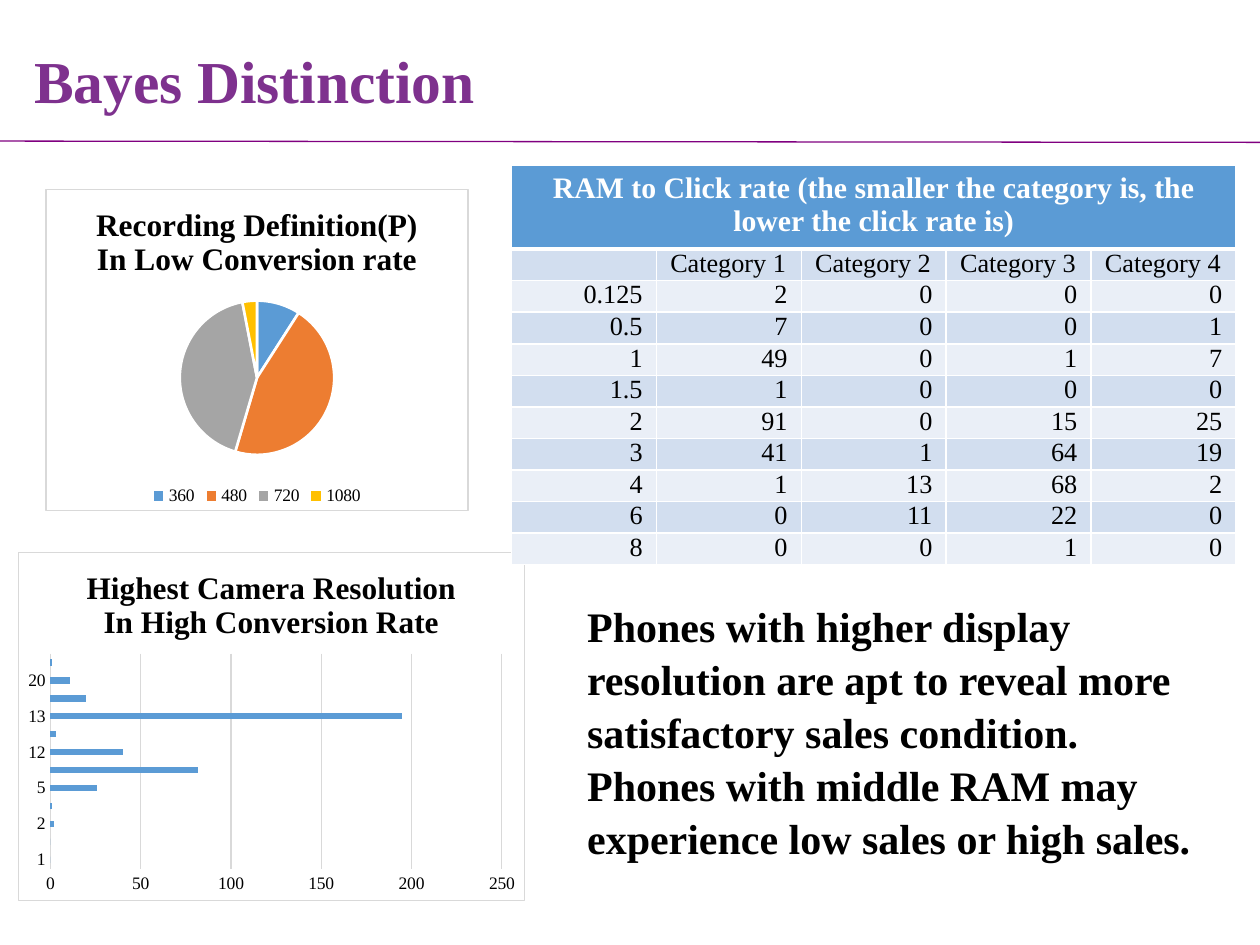
from dataclasses import dataclass

from lxml.etree import SubElement
from pptx import Presentation
from pptx.chart.chart import Chart
from pptx.chart.data import CategoryChartData
from pptx.dml.color import RGBColor
from pptx.enum.chart import XL_CHART_TYPE, XL_LEGEND_POSITION, XL_TICK_MARK
from pptx.enum.shapes import MSO_CONNECTOR
from pptx.enum.text import MSO_ANCHOR, MSO_AUTO_SIZE, PP_ALIGN
from pptx.oxml import parse_xml
from pptx.oxml.ns import nsdecls, qn
from pptx.slide import Slide
from pptx.table import _Cell
from pptx.text.text import _Paragraph
from pptx.util import Inches, Pt

FONT = "Times New Roman"
BLACK = RGBColor(0x00, 0x00, 0x00)
WHITE = RGBColor(0xFF, 0xFF, 0xFF)
PURPLE = RGBColor(0x7E, 0x31, 0x8E)
RULE_PURPLE = RGBColor(0x80, 0x00, 0x80)
BLUE = RGBColor(0x5B, 0x9B, 0xD5)
ORANGE = RGBColor(0xED, 0x7D, 0x31)
GRAY = RGBColor(0xA5, 0xA5, 0xA5)
YELLOW = RGBColor(0xFF, 0xC0, 0x00)
LIGHT_GRAY = RGBColor(0xD9, 0xD9, 0xD9)
BAND_DARK = RGBColor(0xD2, 0xDE, 0xEF)
BAND_LIGHT = RGBColor(0xEA, 0xEF, 0xF7)

TABLE_TITLE = "RAM to Click rate (the smaller the category is, the lower the click rate is)"
RAM_ROWS = [
    ("", "Category 1", "Category 2", "Category 3", "Category 4"),
    (0.125, 2, 0, 0, 0),
    (0.5, 7, 0, 0, 1),
    (1, 49, 0, 1, 7),
    (1.5, 1, 0, 0, 0),
    (2, 91, 0, 15, 25),
    (3, 41, 1, 64, 19),
    (4, 1, 13, 68, 2),
    (6, 0, 11, 22, 0),
    (8, 0, 0, 1, 0),
]
CONCLUSIONS = [
    "Phones with higher display resolution are apt to reveal more satisfactory sales condition.",
    "Phones with middle RAM may experience low sales or high sales.",
]


@dataclass(frozen=True)
class ChartPanel:
    kind: XL_CHART_TYPE
    title: str
    left: float
    top: float
    width: float
    height: float
    categories: tuple[float, ...]
    values: tuple[int, ...]


DEFINITION_PANEL = ChartPanel(
    XL_CHART_TYPE.PIE, "Recording Definition(P)\nIn Low Conversion rate",
    0.36, 1.5, 3.36, 2.56, (360, 480, 720, 1080), (9, 45, 42, 3),
)
RESOLUTION_PANEL = ChartPanel(
    XL_CHART_TYPE.BAR_CLUSTERED, "Highest Camera Resolution\nIn High Conversion Rate",
    0.14, 4.38, 4.03, 2.77,
    (1, 1.3, 2, 4, 5, 8, 12, 12.1, 13, 16, 20, 21),
    (0, 0, 2, 1, 26, 82, 40, 3, 195, 20, 11, 1),
)


def format_paragraph(paragraph: _Paragraph, size: float, color: RGBColor, bold: bool) -> None:
    font = paragraph.font
    font.name, font.size, font.bold = FONT, Pt(size), bold
    font.color.rgb = color


def add_title(slide: Slide) -> None:
    title = slide.shapes.title
    title.left, title.top, title.width, title.height = map(Inches, (0.17, 0.02, 6.79, 0.86))
    frame = title.text_frame
    frame.text = "Bayes Distinction"
    frame.vertical_anchor = MSO_ANCHOR.TOP
    frame.auto_size = MSO_AUTO_SIZE.SHAPE_TO_FIT_TEXT
    paragraph = frame.paragraphs[0]
    paragraph.alignment = PP_ALIGN.LEFT
    paragraph.line_spacing = 1.5
    format_paragraph(paragraph, 34, PURPLE, True)


def add_conclusions(slide: Slide) -> None:
    body = slide.placeholders[1]
    body.left, body.top, body.width, body.height = map(Inches, (4.56, 4.7, 5.29, 2.12))
    frame = body.text_frame
    frame.text = "\n".join(CONCLUSIONS)
    frame.auto_size = MSO_AUTO_SIZE.SHAPE_TO_FIT_TEXT
    for paragraph in frame.paragraphs:
        paragraph.space_before = Pt(0)
        paragraph.line_spacing = 1.05
        format_paragraph(paragraph, 24, BLACK, True)
        properties = paragraph._p.get_or_add_pPr()
        properties.set("marL", "0")
        properties.set("indent", "0")
        properties.insert_element_before(
            parse_xml(f"<a:buNone {nsdecls('a')}/>"), "a:tabLst", "a:defRPr", "a:extLst"
        )


def add_header_rule(slide: Slide) -> None:
    rule = slide.shapes.add_connector(
        MSO_CONNECTOR.STRAIGHT, Inches(0), Inches(1.12), Inches(10), Inches(1.13)
    )
    rule.line.color.rgb = RULE_PURPLE
    rule.line.width = Pt(0.75)
    SubElement(rule._element.spPr, qn("a:effectLst"))


def add_chart_panel(slide: Slide, panel: ChartPanel) -> Chart:
    data = CategoryChartData()
    data.categories = panel.categories
    data.add_series("Series 1", panel.values)
    position = map(Inches, (panel.left, panel.top, panel.width, panel.height))
    chart = slide.shapes.add_chart(panel.kind, *position, data).chart
    chart.font.name, chart.font.size = FONT, Pt(10)
    chart.font.color.rgb = BLACK
    chart.has_legend = False
    chart.has_title = True
    chart.chart_title.include_in_layout = False
    chart.chart_title.text_frame.text = panel.title
    for paragraph in chart.chart_title.text_frame.paragraphs:
        format_paragraph(paragraph, 18, BLACK, True)
    chart._chartSpace.find(qn("c:chart")).addnext(parse_xml(
        f'<c:spPr {nsdecls("c", "a")}>'
        f'<a:solidFill><a:srgbClr val="{WHITE}"/></a:solidFill>'
        f'<a:ln w="{Pt(0.75)}"><a:solidFill><a:srgbClr val="{LIGHT_GRAY}"/></a:solidFill></a:ln>'
        "</c:spPr>"
    ))
    return chart


def style_pie(chart: Chart) -> None:
    chart.has_legend = True
    chart.legend.position = XL_LEGEND_POSITION.BOTTOM
    chart.legend.include_in_layout = False
    series = chart.plots[0].series[0]
    for index, color in enumerate((BLUE, ORANGE, GRAY, YELLOW)):
        slice_format = series.points[index].format
        slice_format.fill.solid()
        slice_format.fill.fore_color.rgb = color
        slice_format.line.color.rgb = WHITE
        slice_format.line.width = Pt(1.5)


def style_bars(chart: Chart) -> None:
    plot = chart.plots[0]
    plot.gap_width = 182
    plot.vary_by_categories = False
    fill = plot.series[0].format.fill
    fill.solid()
    fill.fore_color.rgb = BLUE
    value_axis, category_axis = chart.value_axis, chart.category_axis
    for axis in (value_axis, category_axis):
        axis.major_tick_mark = axis.minor_tick_mark = XL_TICK_MARK.NONE
    value_axis.minimum_scale, value_axis.maximum_scale, value_axis.major_unit = 0, 250, 50
    value_axis.format.line.fill.background()
    for line in (value_axis.major_gridlines.format.line, category_axis.format.line):
        line.color.rgb = LIGHT_GRAY
        line.width = Pt(0.75)


def style_cell(cell: _Cell, fill: RGBColor, top: float, bottom: float) -> None:
    properties = cell._tc.get_or_add_tcPr()
    for side, width in (("L", 1), ("R", 1), ("T", top), ("B", bottom)):
        properties.append(parse_xml(
            f'<a:ln{side} {nsdecls("a")} w="{Pt(width)}">'
            f'<a:solidFill><a:srgbClr val="{WHITE}"/></a:solidFill></a:ln{side}>'
        ))
    cell.fill.solid()
    cell.fill.fore_color.rgb = fill


def add_ram_table(slide: Slide) -> None:
    table = slide.shapes.add_table(
        len(RAM_ROWS) + 1, 5, Inches(4.06), Inches(1.31), Inches(5.75), Inches(3.19)
    ).table
    for row in table.rows:
        row.height = Inches(0.25)
    table.rows[0].height = Inches(0.66)
    header = table.cell(0, 0)
    header.merge(table.cell(0, 4))
    header.text = TABLE_TITLE
    header.text_frame.paragraphs[0].alignment = PP_ALIGN.CENTER
    format_paragraph(header.text_frame.paragraphs[0], 17, WHITE, True)
    for column in range(5):
        style_cell(table.cell(0, column), BLUE, 1, 3)
    for row_index, values in enumerate(RAM_ROWS, start=1):
        for column, value in enumerate(values):
            cell = table.cell(row_index, column)
            cell.text = str(value)
            cell.margin_left = cell.margin_right = Inches(0.11)
            cell.margin_top = cell.margin_bottom = 0
            paragraph = cell.text_frame.paragraphs[0]
            paragraph.alignment = PP_ALIGN.LEFT if row_index == 1 else PP_ALIGN.RIGHT
            format_paragraph(paragraph, 15, BLACK, False)
            style_cell(cell, BAND_DARK if row_index % 2 else BAND_LIGHT, 3 if row_index == 1 else 1, 1)


def main() -> None:
    presentation = Presentation()
    presentation.slide_width, presentation.slide_height = Inches(10), Inches(7.5)
    slide = presentation.slides.add_slide(presentation.slide_layouts[1])
    add_title(slide)
    add_conclusions(slide)
    add_header_rule(slide)
    style_pie(add_chart_panel(slide, DEFINITION_PANEL))
    style_bars(add_chart_panel(slide, RESOLUTION_PANEL))
    add_ram_table(slide)
    presentation.save("out.pptx")


if __name__ == "__main__":
    main()
